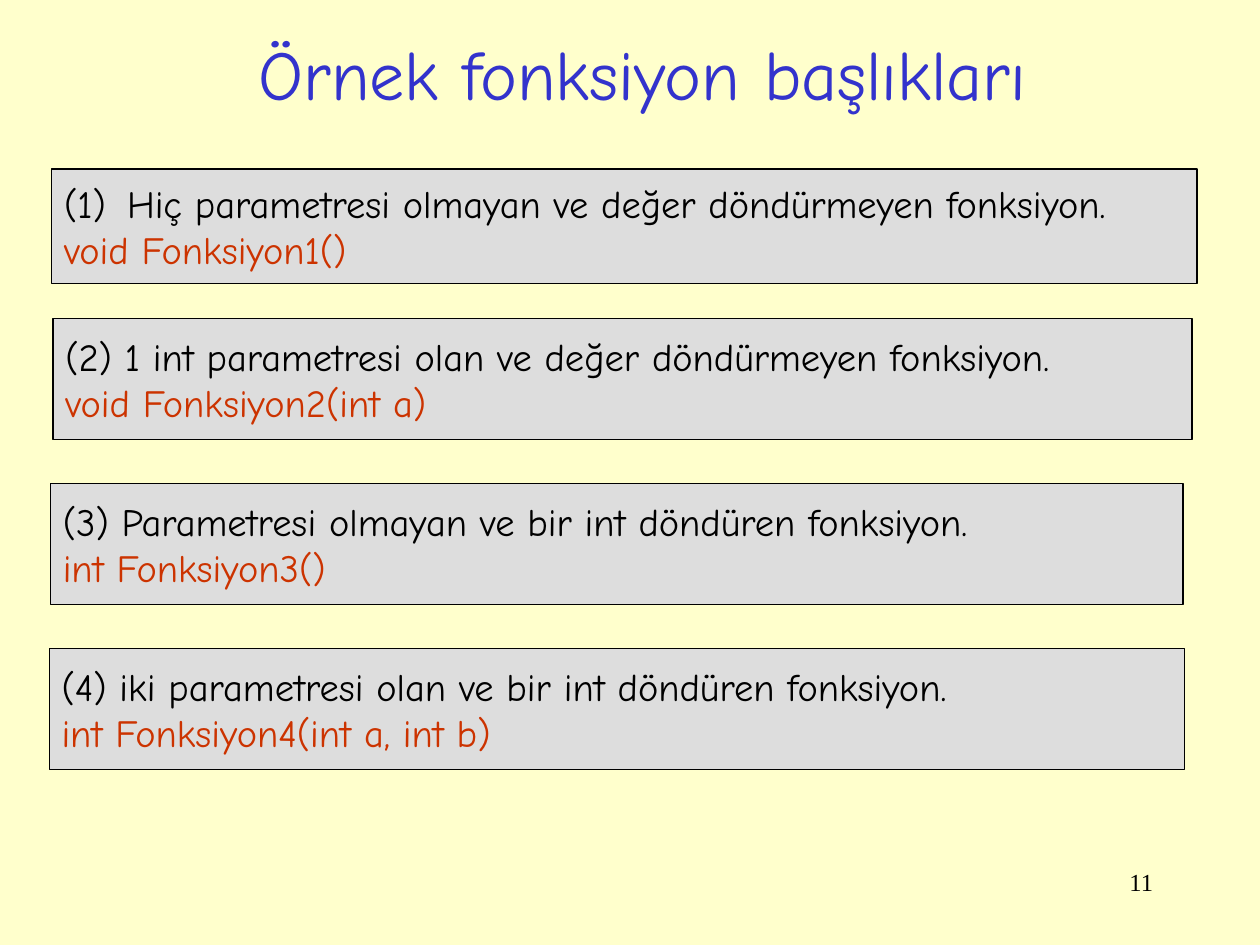
import pptx
import pptx.dml.color
import pptx.enum.shapes
import pptx.enum.text
import pptx.oxml
import pptx.oxml.ns
import pptx.util

Inches = pptx.util.Inches
Pt = pptx.util.Pt
ALIGN = pptx.enum.text.PP_ALIGN
MIDDLE = pptx.enum.text.MSO_ANCHOR.MIDDLE

COLORS = {
    "background": "FFFFCC",
    "title": "3333CC",
    "panel": "DDDDDD",
    "text": "000000",
    "code": "CC3300",
}
BODY_FONT = "Comic Neue"
NUMBER_FONT = "Times New Roman"

# Box (left, top, width, height), description, function header, automatic number
EXAMPLES = [
    ((0.41, 1.34, 9.09, 0.91),
     "Hiç parametresi olmayan ve değer döndürmeyen fonksiyon.",
     "void Fonksiyon1()", True),
    ((0.42, 2.53, 9.04, 0.96),
     "(2) 1 int parametresi olan ve değer döndürmeyen fonksiyon.",
     "void Fonksiyon2(int a)", False),
    ((0.4, 3.84, 8.99, 0.96),
     "(3) Parametresi olmayan ve bir int döndüren fonksiyon.",
     "int Fonksiyon3()", False),
    ((0.39, 5.15, 9.01, 0.96),
     "(4) iki parametresi olan ve bir int döndüren fonksiyon.",
     "int Fonksiyon4(int a, int b)", False),
]


def color(name):
    return pptx.dml.color.RGBColor.from_string(COLORS[name])


def write(paragraph, text, size, color_name, font=BODY_FONT, align=ALIGN.LEFT):
    paragraph.alignment = align
    run = paragraph.add_run()
    run.text = text
    for name, value in {"name": font, "size": Pt(size), "bold": False}.items():
        setattr(run.font, name, value)
    run.font.color.rgb = color(color_name)


def number_paragraph(paragraph):
    """Give the paragraph a hanging automatic number such as (1)."""
    properties = paragraph._p.get_or_add_pPr()
    properties.set("marL", str(Inches(0.5)))
    properties.set("indent", str(-Inches(0.5)))
    namespace = pptx.oxml.ns.nsdecls("a")
    for element in (f'<a:buFont {namespace} typeface="{BODY_FONT}"/>',
                    f'<a:buAutoNum {namespace} type="arabicParenBoth"/>'):
        properties.append(pptx.oxml.parse_xml(element))


def add_title(slide, text):
    title = slide.shapes.title
    box = {"left": 0.72, "top": 0.23, "width": 8.76, "height": 0.69}
    for name, value in box.items():
        setattr(title, name, Inches(value))
    title.text_frame.vertical_anchor = MIDDLE
    write(title.text_frame.paragraphs[0], text, 40, "title", align=ALIGN.CENTER)


def add_example(slide, box, description, header, numbered):
    panel = slide.shapes.add_shape(
        pptx.enum.shapes.MSO_SHAPE.RECTANGLE, *map(Inches, box))
    panel.shadow.inherit = False
    panel.fill.solid()
    panel.fill.fore_color.rgb = color("panel")
    panel.line.color.rgb = color("text")
    panel.line.width = Pt(0.75)

    frame = panel.text_frame
    frame.word_wrap = True
    frame.vertical_anchor = MIDDLE
    first = frame.paragraphs[0]
    if numbered:
        number_paragraph(first)
    write(first, description, 22, "text")
    write(frame.add_paragraph(), header, 22, "code")


def add_page_number(slide, text):
    box = slide.shapes.add_textbox(*map(Inches, (7.17, 6.83, 2.08, 0.5)))
    box.text_frame.word_wrap = True
    write(box.text_frame.paragraphs[0], text, 14, "text", NUMBER_FONT, ALIGN.RIGHT)


def main():
    deck = pptx.Presentation()
    deck.slide_width, deck.slide_height = Inches(10), Inches(7.5)
    slide = deck.slides.add_slide(deck.slide_layouts[5])
    slide.background.fill.solid()
    slide.background.fill.fore_color.rgb = color("background")

    add_page_number(slide, "11")
    add_title(slide, "Örnek fonksiyon başlıkları")
    for example in EXAMPLES:
        add_example(slide, *example)

    deck.save("out.pptx")


if __name__ == "__main__":
    main()
